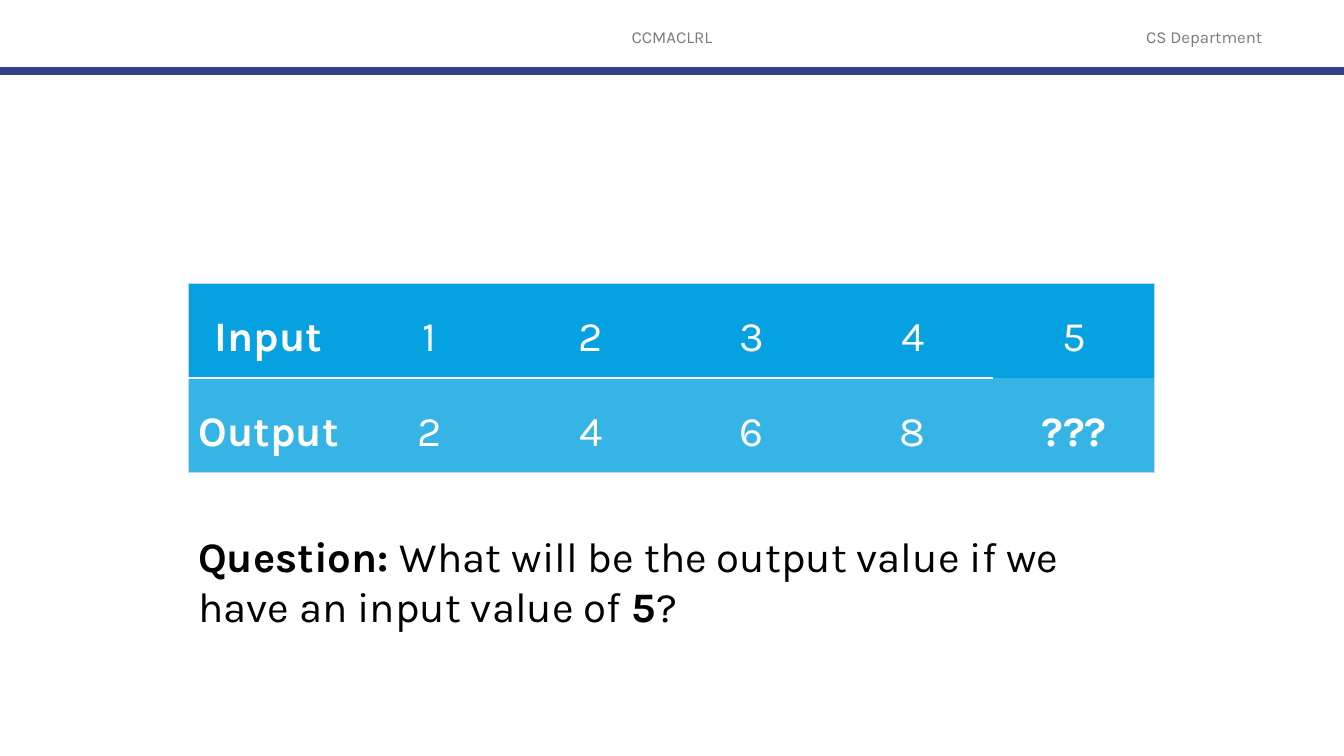
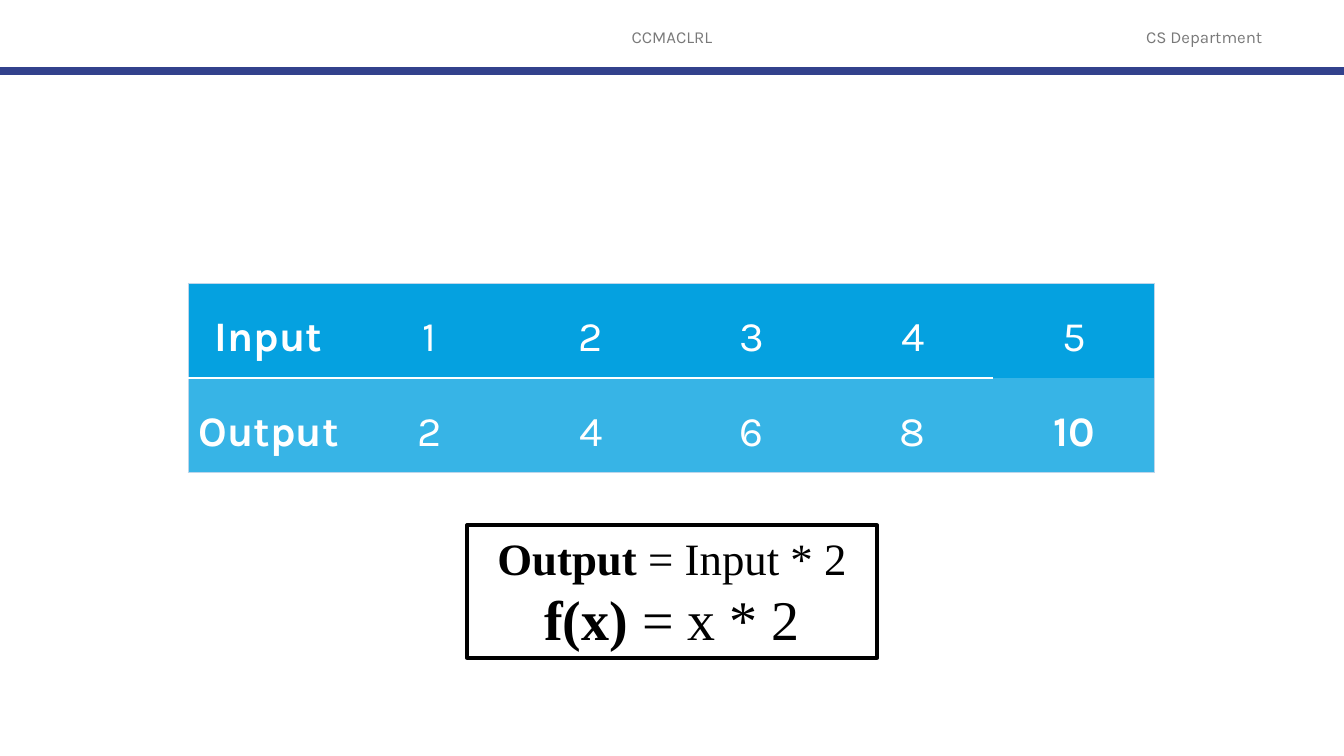
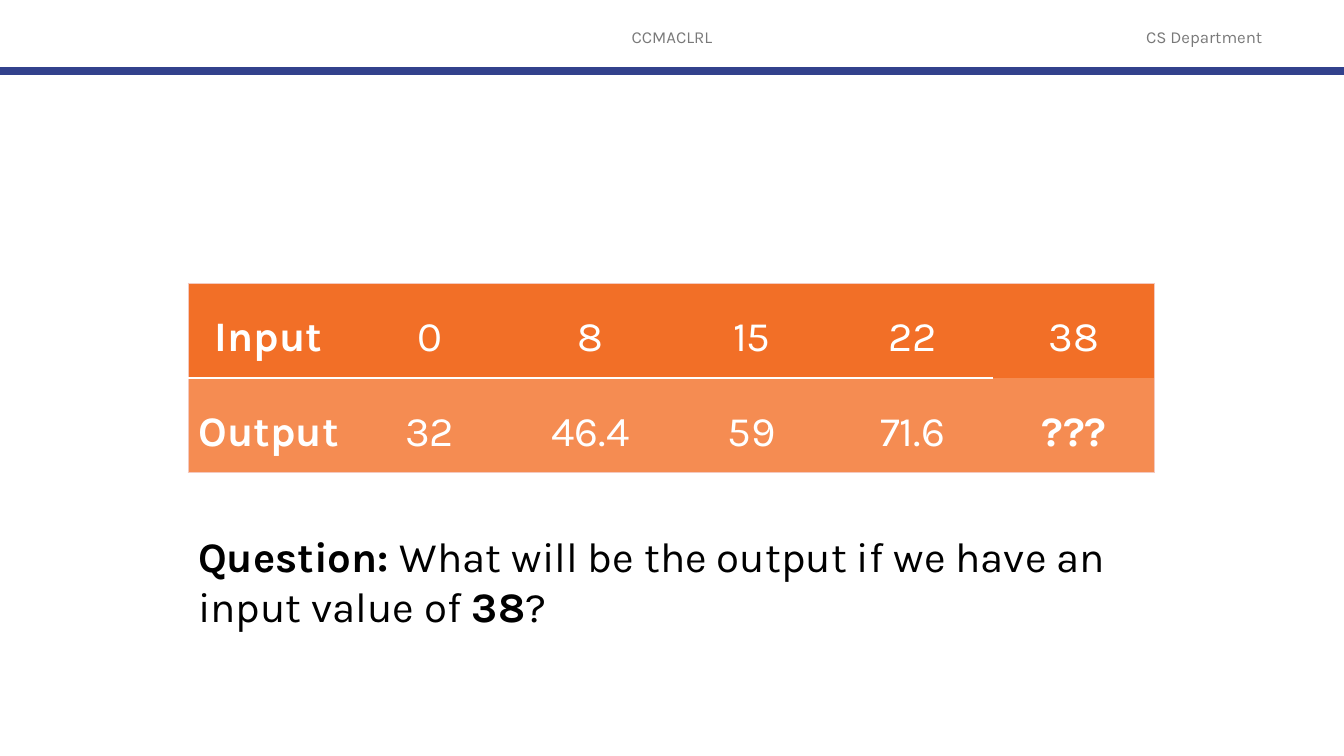
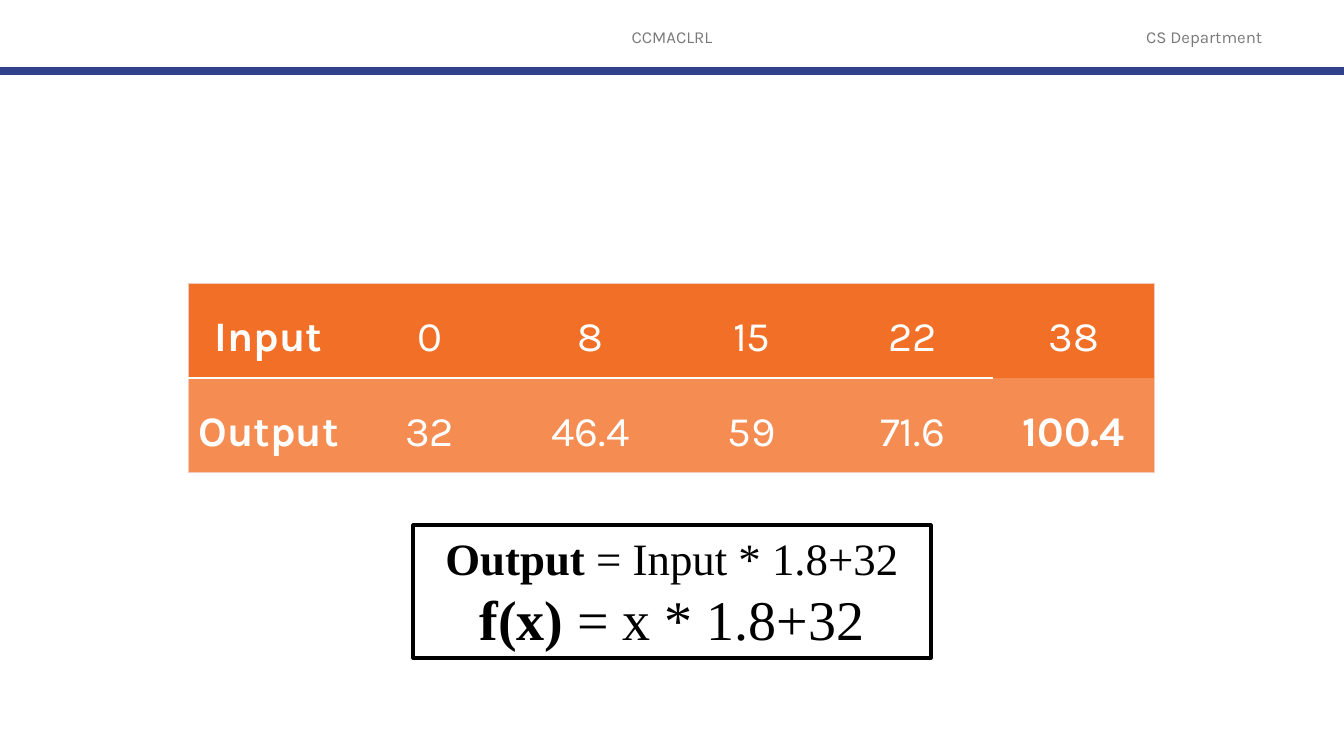
from dataclasses import dataclass

from lxml import etree
from pptx import Presentation
from pptx.dml.color import RGBColor
from pptx.enum.shapes import MSO_CONNECTOR, MSO_SHAPE
from pptx.enum.text import MSO_ANCHOR, PP_ALIGN
from pptx.oxml.ns import qn
from pptx.util import Inches, Pt

CENTER, LEFT = PP_ALIGN.CENTER, PP_ALIGN.LEFT
TOP, MIDDLE = MSO_ANCHOR.TOP, MSO_ANCHOR.MIDDLE
RECTANGLE = MSO_SHAPE.RECTANGLE
STRAIGHT = MSO_CONNECTOR.STRAIGHT

SLIDE_WIDTH, SLIDE_HEIGHT = Inches(13.33), Inches(7.5)


@dataclass(frozen=True)
class Theme:
    font: str = "Karla"
    formula_font: str = "Times New Roman"
    ink: str = "000000"
    white: str = "FFFFFF"
    muted: str = "797979"
    band: str = "32418C"
    header_size: int = 12
    body_size: int = 30
    formula_sizes: tuple = (32, 40)


@dataclass(frozen=True)
class Palette:
    input_fill: str
    output_fill: str
    border: str


THEME = Theme()
BLUE = Palette("05A1E0", "37B4E6", "BDD6EB")
ORANGE = Palette("F26F27", "F58C52", "F4C9BF")

# Boxes: left, top, width, height in percent of the slide
COURSE_BOX = (33.1, 2.2, 33.8, 5.3)
DEPARTMENT_BOX = (81.9, 2.2, 15.4, 5.3)
BAND_TOP = 9.4
TABLE_BOX = (14, 37.5, 71.9, 25)
QUESTION_BOX = (14, 69.5, 72, 14.8)
FORMULA_TOP, FORMULA_HEIGHT = 69.5, 17.5

BLUE_INPUTS, BLUE_OUTPUTS = ["1", "2", "3", "4", "5"], ["2", "4", "6", "8"]
ORANGE_INPUTS = ["0", "8", "15", "22", "38"]
ORANGE_OUTPUTS = ["32", "46.4", "59", "71.6"]


def place(box):
    """Turn a percent box into slide lengths."""
    totals = (SLIDE_WIDTH, SLIDE_HEIGHT) * 2
    return [round(total * share / 100) for total, share in zip(totals, box)]


def write(paragraph, runs, size, color, font=THEME.font, align=CENTER):
    """Fill a paragraph with (text, bold) runs."""
    paragraph.alignment = align
    for text, bold in runs:
        run = paragraph.add_run()
        run.text = text
        run.font.name, run.font.size, run.font.bold = font, Pt(size), bold
        run.font.color.rgb = RGBColor.from_string(color)


def add_text(slide, box, runs, size, color, align=CENTER, anchor=MIDDLE):
    text_frame = slide.shapes.add_textbox(*place(box)).text_frame
    text_frame.word_wrap = True
    text_frame.vertical_anchor = anchor
    write(text_frame.paragraphs[0], runs, size, color, align=align)


def add_header(slide):
    """Course name, department and the band below them."""
    for box, text in ((COURSE_BOX, "CCMACLRL"), (DEPARTMENT_BOX, "CS Department")):
        add_text(slide, box, [(text, False)], THEME.header_size, THEME.muted)
    _, top, width, _ = place((0, BAND_TOP, 100, 0))
    band = slide.shapes.add_connector(STRAIGHT, 0, top, width, top)
    band.line.color.rgb = RGBColor.from_string(THEME.band)
    band.line.width = Pt(6)
    etree.SubElement(band.element.spPr, qn("a:effectLst"))


def set_borders(cell, borders):
    """Draw the sides given as {side: (color, points)}; hide the others."""
    properties = cell._tc.get_or_add_tcPr()
    for side in "LRTB":
        line = etree.SubElement(properties, qn(f"a:ln{side}"))
        if side in borders:
            color, points = borders[side]
            line.set("w", str(Pt(points)))
            fill = etree.SubElement(line, qn("a:solidFill"))
            etree.SubElement(fill, qn("a:srgbClr")).set("val", color)
        else:
            etree.SubElement(line, qn("a:noFill"))


def add_value_table(slide, box, palette, inputs, outputs):
    """Input row over output row, with the last output in bold."""
    rows = [["Input", *inputs], ["Output", *outputs]]
    fills = [palette.input_fill, palette.output_fill]
    last = len(inputs)
    frame = slide.shapes.add_table(len(rows), last + 1, *place(box))
    outer, divider = (palette.border, 1), (THEME.white, 2)
    for row, values in enumerate(rows):
        outer_side, inner_side = ("T", "B") if row == 0 else ("B", "T")
        for column, value in enumerate(values):
            cell = frame.table.cell(row, column)
            borders = {outer_side: outer}
            if column < last:
                borders[inner_side] = divider
            else:
                borders["R"] = outer
            if column == 0:
                borders["L"] = outer
            set_borders(cell, borders)
            cell.fill.solid()
            cell.fill.fore_color.rgb = RGBColor.from_string(fills[row])
            paragraph = cell.text_frame.paragraphs[0]
            paragraph.line_spacing = 1.5
            bold = column == 0 or (row == 1 and column == last)
            write(paragraph, [(value, bold)], THEME.body_size, THEME.white)


def add_question(slide, box, wording, value):
    runs = [("Question: ", True), (wording, False), (value, True), ("?", False)]
    add_text(slide, box, runs, THEME.body_size, THEME.ink, LEFT, TOP)


def add_formula(slide, width, rule):
    """Centred frame with the rule in words and as a function."""
    box = ((100 - width) / 2, FORMULA_TOP, width, FORMULA_HEIGHT)
    shape = slide.shapes.add_shape(RECTANGLE, *place(box))
    shape.shadow.inherit = False
    shape.fill.background()
    shape.line.color.rgb = RGBColor.from_string(THEME.ink)
    shape.line.width = Pt(3)
    text_frame = shape.text_frame
    text_frame.word_wrap = True
    text_frame.vertical_anchor = TOP
    lines = [
        [("Output", True), (f" = Input {rule}", False)],
        [("f(x) ", True), (f"= x {rule}", False)],
    ]
    paragraphs = [text_frame.paragraphs[0], text_frame.add_paragraph()]
    for paragraph, runs, size in zip(paragraphs, lines, THEME.formula_sizes):
        write(paragraph, runs, size, THEME.ink, THEME.formula_font)


def add_table_slide(presentation, palette, inputs, outputs):
    slide = presentation.slides.add_slide(presentation.slide_layouts[6])
    add_header(slide)
    add_value_table(slide, TABLE_BOX, palette, inputs, outputs)
    return slide


def main():
    presentation = Presentation()
    presentation.slide_width = SLIDE_WIDTH
    presentation.slide_height = SLIDE_HEIGHT

    # Each exercise: a question slide, then its answer slide
    exercises = [
        (BLUE, BLUE_INPUTS, BLUE_OUTPUTS, "10", "* 2", 30.5,
         "What will be the output value if we have an input value of "),
        (ORANGE, ORANGE_INPUTS, ORANGE_OUTPUTS, "100.4", "* 1.8+32", 38.5,
         "What will be the output if we have an input value of "),
    ]
    for palette, inputs, outputs, answer, rule, width, wording in exercises:
        slide = add_table_slide(presentation, palette, inputs, outputs + ["???"])
        add_question(slide, QUESTION_BOX, wording, inputs[-1])
        slide = add_table_slide(presentation, palette, inputs, outputs + [answer])
        add_formula(slide, width, rule)

    presentation.save("out.pptx")


if __name__ == "__main__":
    main()
